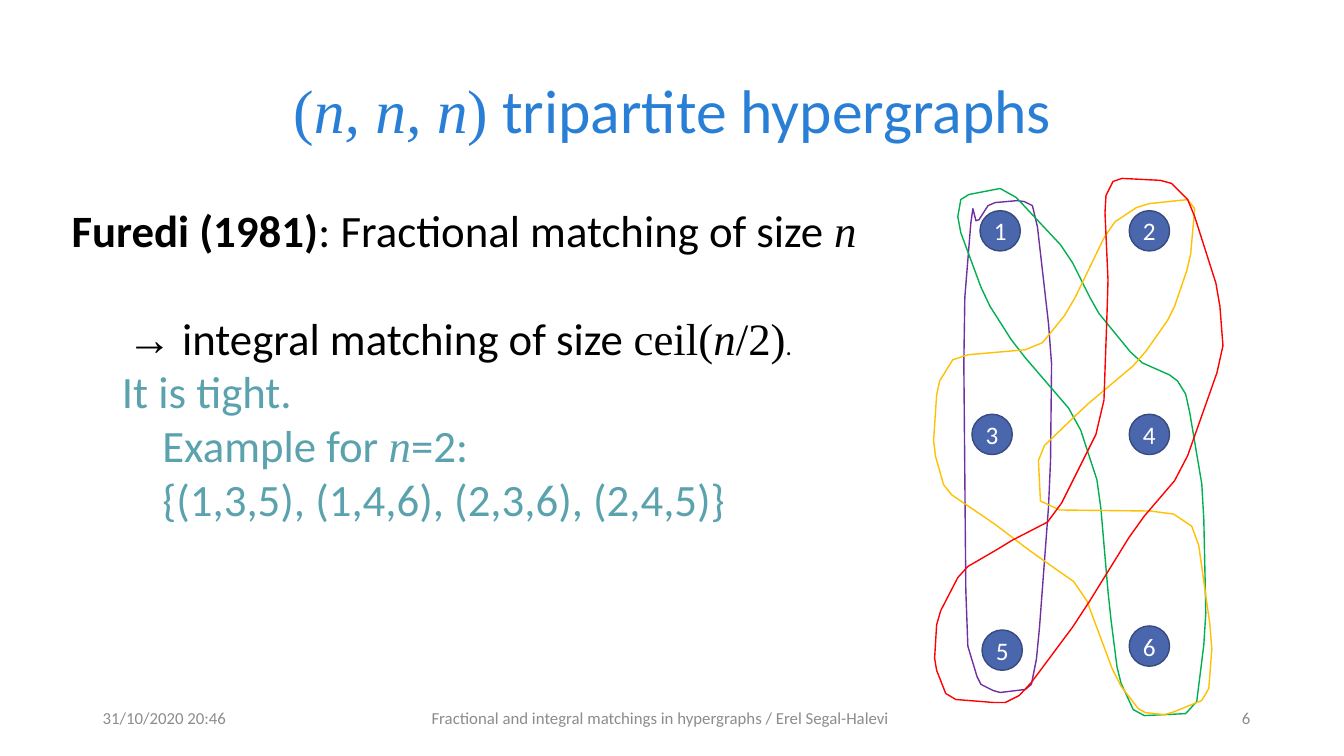
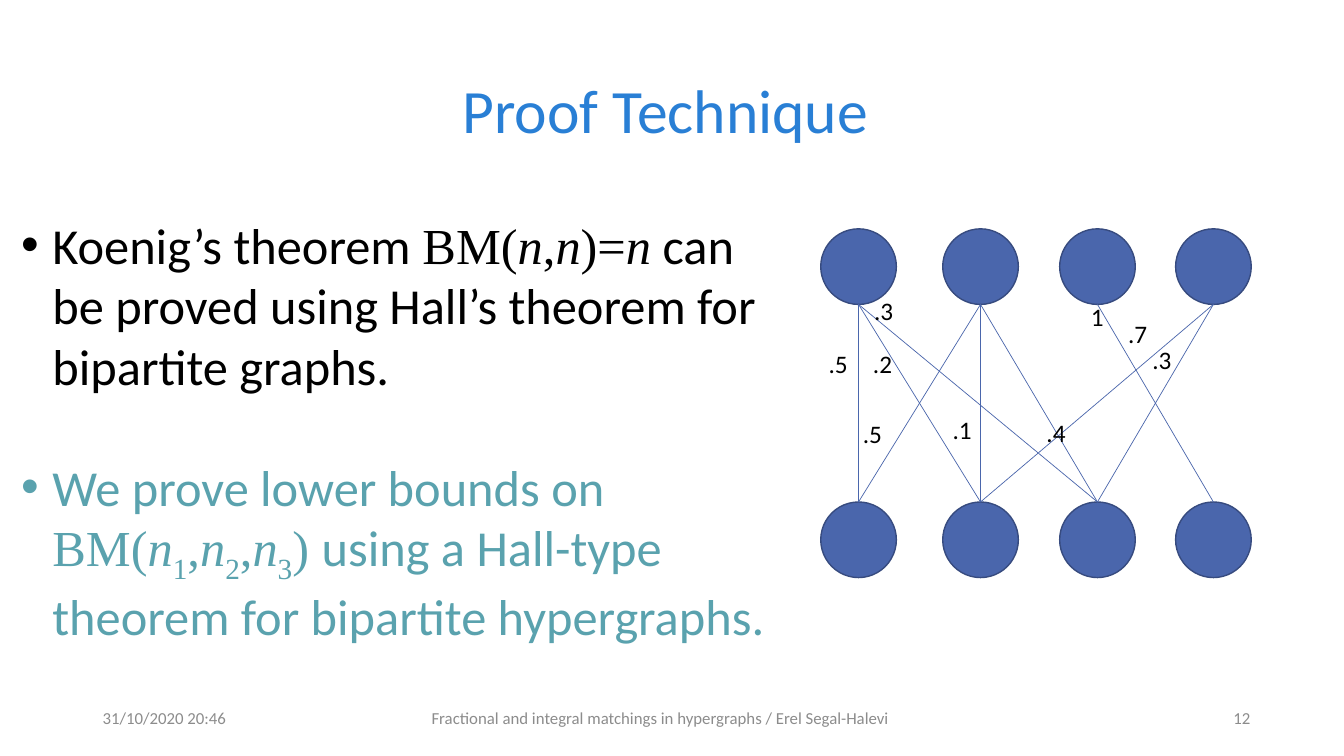
"""Build two slides on matchings in tripartite and bipartite hypergraphs."""
from lxml import etree
from pptx import Presentation
from pptx.dml.color import RGBColor
from pptx.enum.shapes import MSO_CONNECTOR, MSO_SHAPE
from pptx.enum.text import MSO_ANCHOR, MSO_AUTO_SIZE, PP_ALIGN
from pptx.oxml.ns import qn
from pptx.util import Inches, Pt

COLORS = {
    "title": "297FD5", "text": "000000", "accent": "5AA2AE", "footer": "8C8C8C",
    "node": "4A66AC", "node_line": "374B7F", "node_text": "FFFFFF",
    "purple": "7030A0", "green": "00B050", "yellow": "FFC000", "red": "FF0000",
}
SANS, SERIF = "Calibri", "Times New Roman"
TITLE_BOX = (0.92, 0.4, 11.5, 1.45)
DATE = "31/10/2020 20:46"
TALK = "Fractional and integral matchings in hypergraphs / Erel Segal-Halevi"

HYPEREDGES = {
    "purple": [
        (38, 28), (30, 134), (32, 458), (45, 500), (61, 510), (96, 507), (103, 472),
        (116, 300), (117, 164), (100, 28), (88, 22), (56, 24), (43, 44)],
    "green": [
        (200, 533), (259, 531), (270, 451), (268, 318), (252, 217), (240, 198),
        (201, 180), (158, 126), (135, 76), (73, 9), (28, 17), (23, 42),
        (51, 120), (82, 167), (143, 239), (165, 310), (174, 428), (184, 495)],
    "yellow": [
        (260, 20), (254, 85), (236, 134), (207, 178), (145, 231), (104, 271),
        (106, 329), (234, 330), (260, 348), (277, 458), (272, 515), (233, 532),
        (206, 530), (183, 500), (146, 405), (102, 374), (55, 339), (12, 310),
        (0, 270), (3, 205), (22, 176), (103, 169), (135, 130), (175, 46), (206, 26)],
    "red": [
        (170, 20), (179, 0), (233, 2), (255, 24), (284, 118), (287, 175),
        (246, 293), (202, 342), (147, 433), (88, 512), (68, 521), (14, 516),
        (1, 483), (3, 436), (28, 389), (71, 363), (120, 337), (168, 239), (173, 115)],
}
NODE_ROWS = [(0.46, 0.32, 0.32), (0.38, 2.34, 2.34), (0.48, 4.48, 4.44)]
RIGHT_NODE = 1.94

COLUMNS = [0, 1.21, 2.37, 3.52]
EDGES = [(0, 0), (0, 1), (0, 2), (1, 0), (1, 1), (1, 2), (2, 3), (3, 1), (3, 2)]
WEIGHTS = [
    (".5", -0.02, 1.14), (".3", 0.43, 0.61), (".2", 0.42, 1.14), ("1", 2.58, 0.67),
    (".5", 0.32, 1.83), (".3", 3.19, 1.1), (".1", 1.21, 1.79), (".7", 2.95, 0.84),
    (".4", 2.14, 1.82)]


def rgb(name):
    """Return the named colour."""
    return RGBColor.from_string(COLORS[name])


def add_runs(paragraph, runs, size, color):
    """Add (text, style) runs; style letters: t serif, i italic, b bold, s subscript, d small."""
    for text, style in runs:
        run = paragraph.add_run()
        run.text = text
        font = run.font
        font.name = SERIF if "t" in style else SANS
        font.size = Pt(18 if "d" in style else size)
        font.bold, font.italic = "b" in style, "i" in style
        font.color.rgb = rgb(color)
        if "s" in style:
            font._element.set("baseline", "-25000")


def place(shape, box):
    """Move a shape to a box in inches."""
    shape.left, shape.top, shape.width, shape.height = map(Inches, box)


def add_label(slide, box, text, size, color, align=PP_ALIGN.LEFT, anchor=MSO_ANCHOR.TOP):
    """Add a one-line text box."""
    frame = slide.shapes.add_textbox(*map(Inches, box)).text_frame
    frame.word_wrap = True
    frame.vertical_anchor = anchor
    frame.paragraphs[0].alignment = align
    add_runs(frame.paragraphs[0], [(text, "")], size, color)


def add_base(prs, title, number):
    """Add a slide with its title and footer."""
    slide = prs.slides.add_slide(prs.slide_layouts[1])
    place(slide.shapes.title, TITLE_BOX)
    frame = slide.shapes.title.text_frame
    frame.auto_size = MSO_AUTO_SIZE.NONE
    frame.vertical_anchor = MSO_ANCHOR.MIDDLE
    frame.paragraphs[0].alignment = PP_ALIGN.CENTER
    frame.paragraphs[0].line_spacing = 0.9
    add_runs(frame.paragraphs[0], title, 44, "title")
    for left, width, text, align in (
            (0.92, 3, DATE, PP_ALIGN.LEFT),
            (4.07, 4.96, TALK, PP_ALIGN.CENTER),
            (9.5, 3, str(number), PP_ALIGN.RIGHT)):
        add_label(slide, (left, 6.92, width, 0.4), text, 12, "footer", align, MSO_ANCHOR.MIDDLE)
    return slide


def fill_body(slide, box, size, paragraphs, bullets=False):
    """Fill the body with (runs, colour, indent, space before) paragraphs."""
    body = slide.placeholders[1]
    place(body, box)
    frame = body.text_frame
    frame.auto_size = MSO_AUTO_SIZE.NONE
    frame.vertical_anchor = MSO_ANCHOR.TOP
    for i, (runs, color, indent, gap) in enumerate(paragraphs):
        paragraph = frame.add_paragraph() if i else frame.paragraphs[0]
        paragraph.space_before = Pt(gap)
        props = paragraph._p.get_or_add_pPr()
        props.set("marL", str(Inches(indent)))
        props.set("indent", str(-Inches(indent) if bullets else 0))
        if bullets:
            etree.SubElement(props, qn("a:buFont")).set("typeface", "Arial")
            etree.SubElement(props, qn("a:buChar")).set("char", "•")
        else:
            etree.SubElement(props, qn("a:buNone"))
        add_runs(paragraph, runs, size, color)


def add_node(slide, left, top, size, text=""):
    """Add a round graph node."""
    node = slide.shapes.add_shape(
        MSO_SHAPE.OVAL, Inches(left), Inches(top), Inches(size), Inches(size))
    node.shadow.inherit = False
    node.fill.solid()
    node.fill.fore_color.rgb = rgb("node")
    node.line.color.rgb = rgb("node_line")
    node.line.width = Pt(1)
    if text:
        frame = node.text_frame
        frame.margin_left = frame.margin_right = frame.margin_top = frame.margin_bottom = 0
        frame.vertical_anchor = MSO_ANCHOR.MIDDLE
        frame.paragraphs[0].alignment = PP_ALIGN.CENTER
        add_runs(frame.paragraphs[0], [(text, "")], 18, "node_text")


def round_corners(points, cut=0.15):
    """Cut each corner of a closed polygon."""
    rounded = []
    for (x1, y1), (x2, y2) in zip(points, points[1:] + points[:1]):
        for part in (cut, 1 - cut):
            rounded.append((x1 + part * (x2 - x1), y1 + part * (y2 - y1)))
    return rounded


def add_hypergraph(slide, left, top):
    """Draw six numbered nodes and the four hyperedges around them."""
    for row, (x, left_y, right_y) in enumerate(NODE_ROWS):
        add_node(slide, left + x, top + left_y, 0.4, str(2 * row + 1))
        add_node(slide, left + RIGHT_NODE, top + right_y, 0.4, str(2 * row + 2))
    for color, corners in HYPEREDGES.items():
        points = round_corners(corners)
        builder = slide.shapes.build_freeform(*points[0], scale=Inches(0.01))
        builder.add_line_segments(points[1:], close=True)
        outline = builder.convert_to_shape(Inches(left), Inches(top))
        outline.shadow.inherit = False
        outline.fill.background()
        outline.line.color.rgb = rgb(color)
        outline.line.width = Pt(1)


def add_bipartite_graph(slide, left, top, size=0.75, row_gap=2.71):
    """Draw two rows of nodes joined by weighted edges."""
    for row in range(2):
        for x in COLUMNS:
            add_node(slide, left + x, top + row * row_gap, size)
    for upper, lower in EDGES:
        start, end = (left + COLUMNS[i] + size / 2 for i in (upper, lower))
        edge = slide.shapes.add_connector(
            MSO_CONNECTOR.STRAIGHT, Inches(start), Inches(top + size),
            Inches(end), Inches(top + row_gap))
        edge.line.color.rgb = rgb("node")
        edge.line.width = Pt(0.5)
        etree.SubElement(edge._element.spPr, qn("a:effectLst"))
    for text, x, y in WEIGHTS:
        add_label(slide, (left + x, top + y, 0.75, 0.76), text, 18, "text")


def build_tripartite(prs):
    """Build the slide on tripartite hypergraphs."""
    slide = add_base(
        prs, [("(", "t"), ("n, n, n", "ti"), (")", "t"), (" tripartite hypergraphs", "")], 6)
    fill_body(slide, (0.61, 1.96, 8.02, 2.79), 32, [
        ([("Furedi (1981)", "b"), (": Fractional matching of size ", ""), ("n", "ti")],
         "text", 0, 0),
        ([("→", "t"), (" integral matching of size ", ""), ("ceil(", "t"), ("n", "ti"),
          ("/2)", "t"), (".", "d")], "text", 0.55, 38.5),
        ([("It is tight.", "")], "accent", 0.5, 0),
        ([("Example for ", ""), ("n", "ti"), ("=2:", "")], "accent", 0.9, 0),
        ([("{(1,3,5), (1,4,6), (2,3,6), (2,4,5)}", "")], "accent", 0.9, 0),
    ])
    add_hypergraph(slide, 9.26, 1.77)


def build_proof(prs):
    """Build the slide on the proof technique."""
    slide = add_base(prs, [("Proof Technique ", "")], 12)
    indexed = [run for i, end in (("1", ","), ("2", ","), ("3", ") "))
               for run in (("n", "ti"), (i, "ts"), (end, "t"))]
    fill_body(slide, (0.11, 2.07, 7.6, 4.34), 36, [
        ([("Koenig’s theorem ", ""), ("BM(", "t"), ("n", "ti"), (",", "t"), ("n", "ti"),
          (")=", "t"), ("n", "ti"),
          (" can be proved using Hall’s theorem for bipartite graphs.", "")],
         "text", 0.31, 0),
        ([("We prove lower bounds on ", ""), ("BM(", "t"), *indexed,
          ("using a Hall-type theorem for bipartite hypergraphs.", "")],
         "accent", 0.31, 43.5),
    ], bullets=True)
    add_bipartite_graph(slide, 8.14, 2.27)


def main():
    """Build and save the presentation."""
    prs = Presentation()
    prs.slide_width, prs.slide_height = Inches(13.33), Inches(7.5)
    build_tripartite(prs)
    build_proof(prs)
    prs.save("out.pptx")


main()
